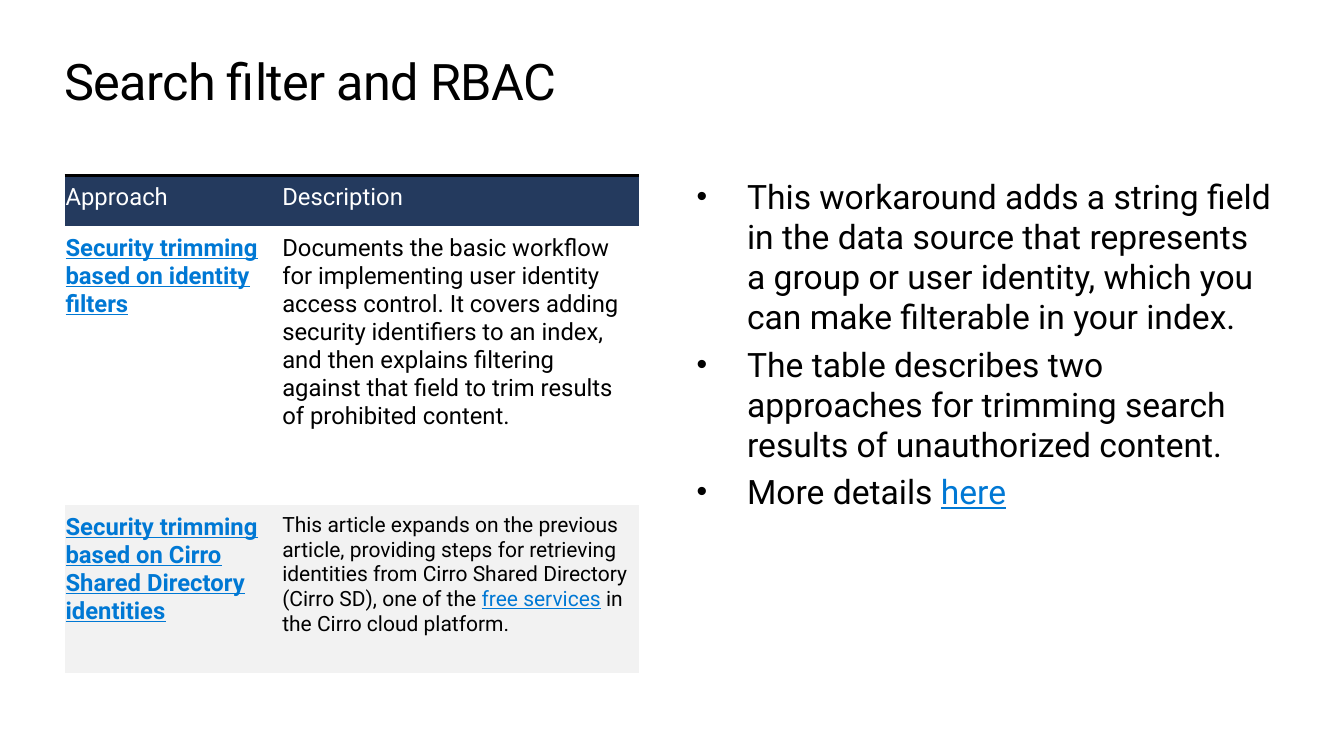
from lxml.etree import SubElement
from pptx import Presentation
from pptx.dml.color import RGBColor
from pptx.oxml.ns import qn
from pptx.util import Pt

PX = 9144
BLACK = RGBColor(0x00, 0x00, 0x00)
WHITE = RGBColor(0xFF, 0xFF, 0xFF)
NAVY = RGBColor(0x24, 0x3A, 0x5E)
GRAY = RGBColor(0xF2, 0xF2, 0xF2)
BLUE = RGBColor(0x00, 0x78, 0xD4)

TITLE = {"size": Pt(36)}
BODY = {"size": Pt(24)}
BODY_LINK = {"size": Pt(24), "color": BLUE, "underline": True}
HEADER = {"size": Pt(17), "color": WHITE}
CELL = {"size": Pt(17)}
CELL_LINK = {"size": Pt(17), "color": BLUE, "bold": True, "underline": True}
SMALL = {"size": Pt(15)}
SMALL_LINK = {"size": Pt(15), "color": BLUE, "underline": True}

BULLETS = [
    [("This workaround adds a string field in the data source that represents "
      "a group or user identity, which you can make filterable in your index.", BODY)],
    [("The table describes two approaches for trimming search results of "
      "unauthorized content.", BODY)],
    [("More details ", BODY), ("here", BODY_LINK)],
]

COLUMN_WIDTHS = [215, 355]
ROWS = [
    (50, NAVY, [[("Approach", HEADER)], [("Description", HEADER)]]),
    (277, None, [
        [("Security trimming based on identity filters", CELL_LINK)],
        [("Documents the basic workflow for implementing user identity access "
          "control. It covers adding security identifiers to an index, and then "
          "explains filtering against that field to trim results of prohibited "
          "content.", CELL)],
    ]),
    (167, GRAY, [
        [("Security trimming based on Cirro Shared Directory identities", CELL_LINK)],
        [("This article expands on the previous article, providing steps for "
          "retrieving identities from Cirro Shared Directory (Cirro SD), one of "
          "the ", SMALL),
         ("free services", SMALL_LINK),
         (" in the Cirro cloud platform.", SMALL)],
    ]),
]


def add_runs(paragraph, runs):
    for text, style in runs:
        run = paragraph.add_run()
        run.text = text
        values = {"name": "Roboto", "color": BLACK, "bold": False, **style}
        run.font.color.rgb = values.pop("color")
        for name, value in values.items():
            setattr(run.font, name, value)


def add_text_frame(slide, box):
    shape = slide.shapes.add_textbox(*(length * PX for length in box))
    frame = shape.text_frame
    margins = dict.fromkeys(
        ["margin_left", "margin_top", "margin_right", "margin_bottom"], 0)
    for name, value in {"word_wrap": True, **margins}.items():
        setattr(frame, name, value)
    return frame


def add_title(slide, box):
    paragraph = add_text_frame(slide, box).paragraphs[0]
    add_runs(paragraph, [("Search filter and RBAC", TITLE)])
    paragraph.runs[0].font._element.set("spc", "-50")


def add_bullets(slide, box):
    frame = add_text_frame(slide, box)
    indent = 50 * PX
    for index, runs in enumerate(BULLETS):
        paragraph = frame.add_paragraph() if index else frame.paragraphs[0]
        if index:
            paragraph.space_before = Pt(4.8)
        properties = paragraph._p.get_or_add_pPr()
        properties.set("marL", str(indent))
        properties.set("indent", str(-indent))
        SubElement(properties, qn("a:buSzPct"), val="90000")
        SubElement(properties, qn("a:buFont"), typeface="Arial")
        SubElement(properties, qn("a:buChar"), char="•")
        add_runs(paragraph, runs)


def add_top_border(cell):
    properties = cell._tc.get_or_add_tcPr()
    line = properties.makeelement(qn("a:lnT"), {"w": str(Pt(2.25))})
    fill = SubElement(line, qn("a:solidFill"))
    SubElement(fill, qn("a:srgbClr"), val=str(BLACK))
    properties.insert(0, line)


def add_approach_table(slide, box):
    frame = slide.shapes.add_table(
        len(ROWS), len(COLUMN_WIDTHS), *(length * PX for length in box))
    table = frame.table
    table.horz_banding = False
    for column, width in zip(table.columns, COLUMN_WIDTHS):
        column.width = width * PX
    margins = {"margin_left": PX, "margin_right": PX,
               "margin_top": 8 * PX, "margin_bottom": 8 * PX}
    for row, (height, color, contents) in zip(table.rows, ROWS):
        row.height = height * PX
        for cell, runs in zip(row.cells, contents):
            for name, value in margins.items():
                setattr(cell, name, value)
            if color is None:
                cell.fill.background()
            else:
                cell.fill.solid()
                cell.fill.fore_color.rgb = color
            add_runs(cell.text_frame.paragraphs[0], runs)
    for cell in table.rows[0].cells:
        add_top_border(cell)
    table_properties = table._tbl.tblPr
    style = table_properties.find(qn("a:tableStyleId"))
    style.text = "{2D5ABB26-0587-4C30-8999-92F81FD0307C}"


def main():
    presentation = Presentation()
    presentation.slide_width = 1333 * PX
    presentation.slide_height = 750 * PX
    slide = presentation.slides.add_slide(presentation.slide_layouts[6])
    add_title(slide, (64, 50, 1205, 61))
    add_bullets(slide, (691, 174, 571, 529))
    add_approach_table(slide, (64, 174, 570, 494))
    presentation.save("out.pptx")


if __name__ == "__main__":
    main()
